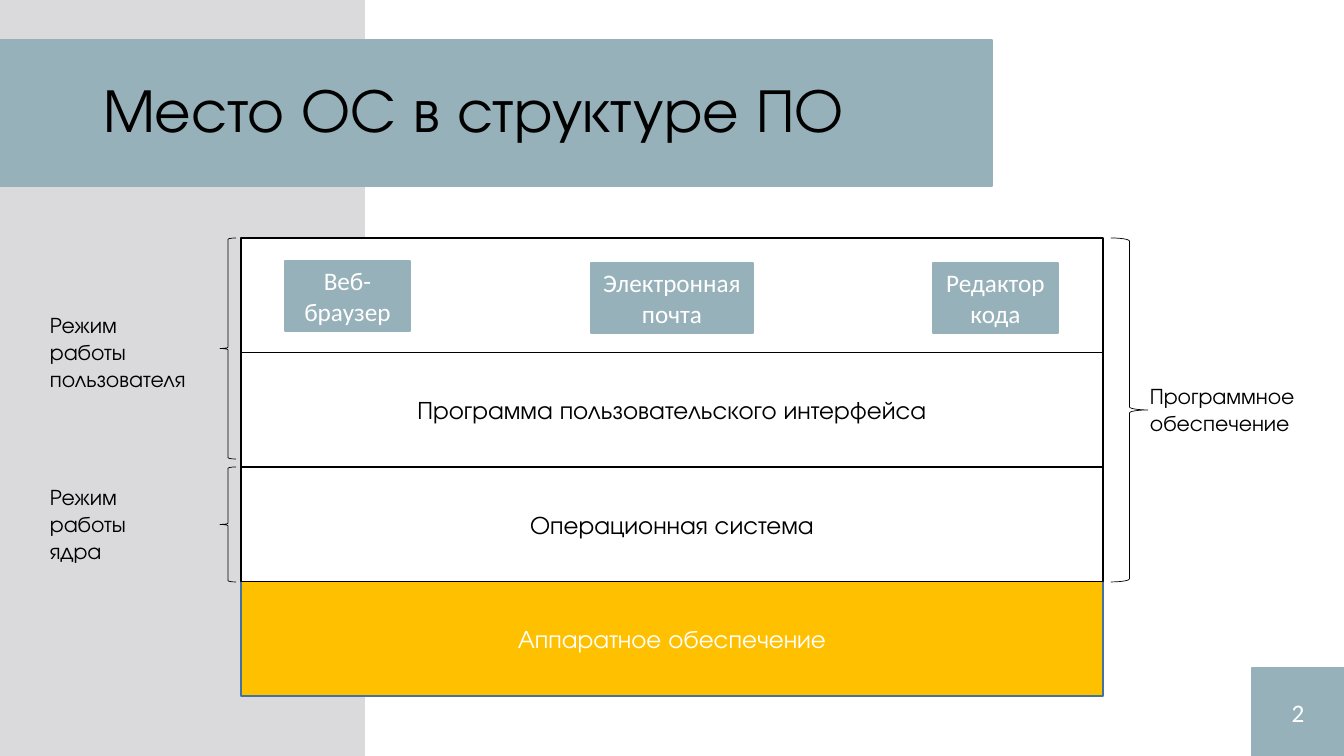
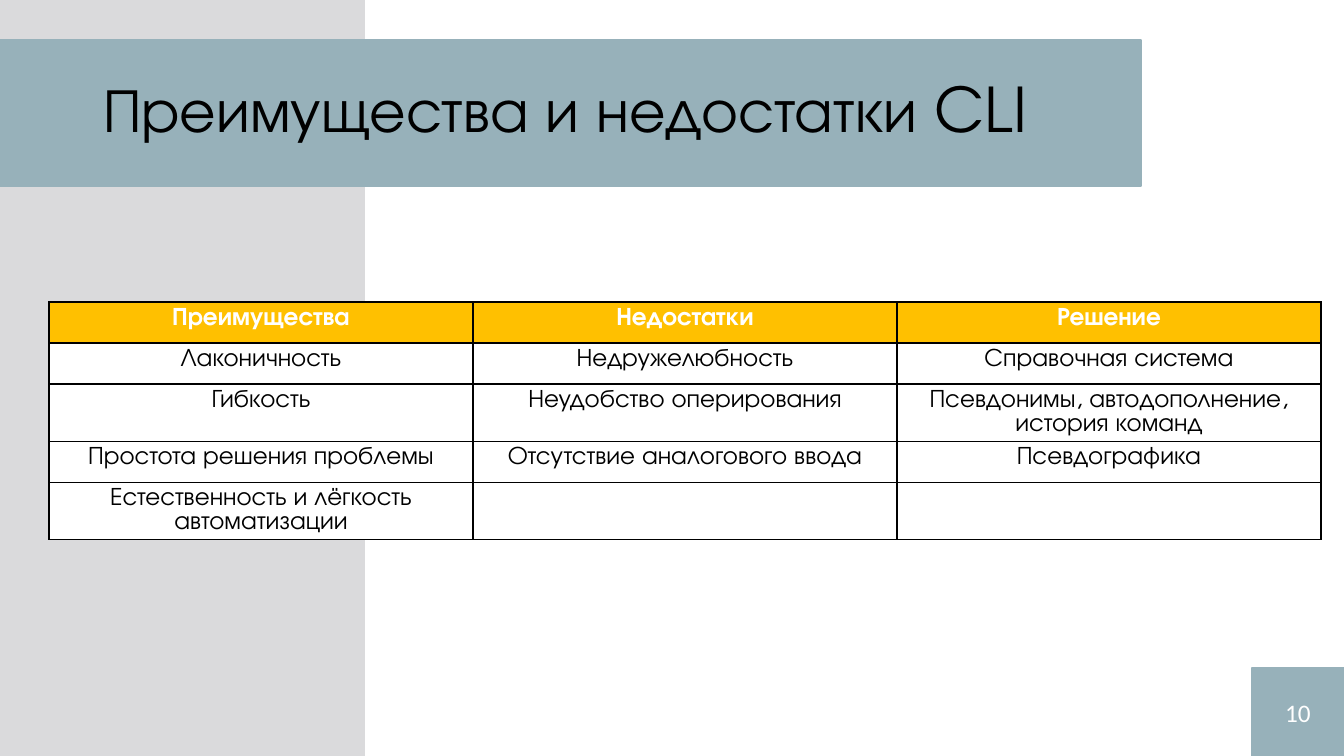
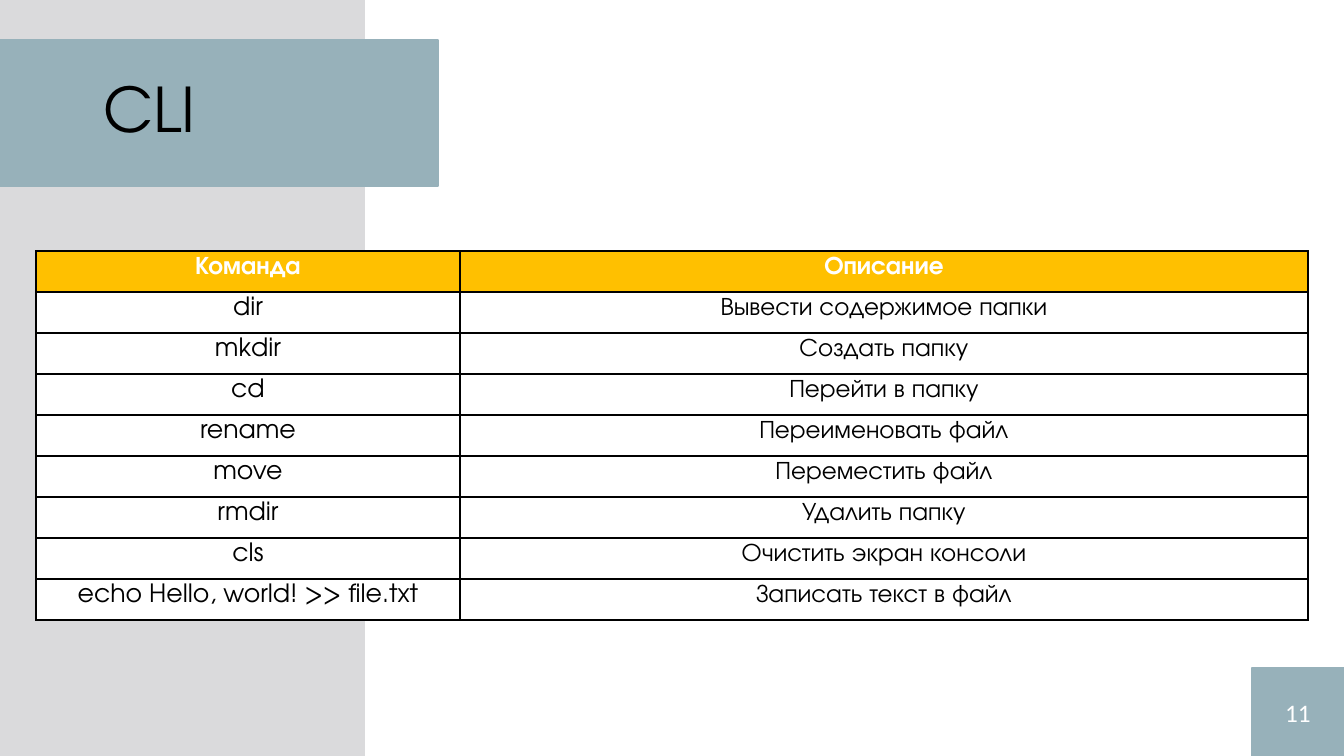
from lxml.etree import SubElement
from pptx import Presentation
from pptx.dml.color import RGBColor
from pptx.enum.shapes import MSO_SHAPE
from pptx.enum.text import MSO_ANCHOR, MSO_AUTO_SIZE, PP_ALIGN
from pptx.oxml.ns import qn
from pptx.util import Pt

THEME = {
    "panel": "DADADC", "band": "97B1BA", "accent": "FFC000", "edge": "43739E",
    "black": "000000", "white": "FFFFFF",
    "display": "TeX Gyre Adventor", "plain": "Calibri",
    "title": 44, "body": 18, "label": 16,
    "outline": 1, "brace": 0.5, "title_spacing": 0.9,
}

SLIDE_SIZE = (1344, 756)
PANEL_BOX = (0, 0, 364, 756)
TITLE_BOX = (93, 40, 1159, 146)
NUMBER_BOX = (1252, 668, 92, 88)
BAND_TOP, BAND_HEIGHT = 40, 146
COLUMN, ROW = 424, 41

STACK_BOX = (241, 238, 862, 458)
LAYERS = [
    ("", "white", "black", "black"),
    ("Программа пользовательского интерфейса", "white", "black", "black"),
    ("Операционная система", "white", "black", "black"),
    ("Аппаратное обеспечение", "accent", "edge", "white"),
]
APPLICATIONS = [
    ("Веб-браузер", (285, 261, 125, 70)),
    ("Электронная почта", (591, 263, 162, 70)),
    ("Редактор кода", (933, 263, 125, 70)),
]
BRACES = [
    (MSO_SHAPE.LEFT_BRACE, (220, 238, 16, 221)),
    (MSO_SHAPE.LEFT_BRACE, (220, 467, 16, 115)),
    (MSO_SHAPE.RIGHT_BRACE, (1111, 238, 37, 344)),
]
LABELS = [
    (["Режим", "работы", "пользователя"], (40, 306, 195, 92)),
    (["Режим", "работы", "ядра"], (40, 478, 195, 92)),
    (["Программное обеспечение"], (1140, 377, 195, 65)),
]

ADVANTAGES = [
    ("Преимущества", "Недостатки", "Решение"),
    ("Лаконичность", "Недружелюбность", "Справочная система"),
    ("Гибкость", "Неудобство оперирования", "Псевдонимы, автодополнение, история команд"),
    ("Простота решения проблемы", "Отсутствие аналогового ввода", "Псевдографика"),
    ("Естественность и лёгкость автоматизации", "", ""),
]
COMMANDS = [
    ("Команда", "Описание"),
    ("dir", "Вывести содержимое папки"),
    ("mkdir", "Создать папку"),
    ("cd", "Перейти в папку"),
    ("rename", "Переименовать файл"),
    ("move", "Переместить файл"),
    ("rmdir", "Удалить папку"),
    ("cls", "Очистить экран консоли"),
    ("echo Hello, world! >> file.txt", "Записать текст в файл"),
]


def px(value):
    return round(value * 914400 / 100.8)


def color(name):
    return RGBColor.from_string(THEME[name])


def apply_format(target, values):
    for name, value in values.items():
        setattr(target, name, value)


def place(shape, box):
    apply_format(shape, dict(zip(("left", "top", "width", "height"), map(px, box))))


def write(frame, lines, size="body", ink="black", face="display", bold=False,
          align=PP_ALIGN.CENTER, spacing=None):
    for index, line in enumerate(lines):
        paragraph = frame.add_paragraph() if index else frame.paragraphs[0]
        apply_format(paragraph, {"alignment": align, "line_spacing": spacing})
        if line:
            run = paragraph.add_run()
            run.text = line
            apply_format(run.font, {"name": THEME[face], "size": Pt(THEME[size]), "bold": bold})
            run.font.color.rgb = color(ink)


def add_box(slide, box, fill, line, text="", preset=MSO_SHAPE.RECTANGLE, weight="outline", **style):
    shape = slide.shapes.add_shape(preset, *map(px, box))
    shape.shadow.inherit = False
    if fill:
        shape.fill.solid()
        shape.fill.fore_color.rgb = color(fill)
    else:
        shape.fill.background()
    shape.line.color.rgb = color(line)
    shape.line.width = Pt(THEME[weight])
    if text:
        apply_format(shape.text_frame, {"word_wrap": True, "vertical_anchor": MSO_ANCHOR.MIDDLE})
        write(shape.text_frame, [text], **style)


def add_label(slide, lines, box):
    frame = slide.shapes.add_textbox(*map(px, box)).text_frame
    frame.word_wrap = True
    write(frame, lines, size="label", align=PP_ALIGN.LEFT)


def add_borders(cell):
    properties = cell._tc.get_or_add_tcPr()
    for index, side in enumerate(("lnL", "lnR", "lnT", "lnB")):
        border = SubElement(properties, qn(f"a:{side}"), w=str(Pt(THEME["outline"])))
        fill = SubElement(border, qn("a:solidFill"))
        SubElement(fill, qn("a:srgbClr"), val=THEME["black"])
        properties.insert(index, border)


def add_grid(slide, rows, left, top, widths):
    box = (left, top, sum(widths), ROW * len(rows))
    table = slide.shapes.add_table(len(rows), len(widths), *map(px, box)).table
    for column, width in zip(table.columns, widths):
        column.width = px(width)
    for row_index, row in enumerate(rows):
        header = row_index == 0
        for column_index, text in enumerate(row):
            cell = table.cell(row_index, column_index)
            cell.fill.solid()
            cell.fill.fore_color.rgb = color("accent" if header else "white")
            add_borders(cell)
            write(cell.text_frame, [text], ink="white" if header else "black", bold=header)


def add_structure(slide):
    left, top, width, height = STACK_BOX
    layer_height = height / len(LAYERS)
    for index, (text, fill, line, ink) in reversed(list(enumerate(LAYERS))):
        add_box(slide, (left, top + index * layer_height, width, layer_height),
                fill, line, text, ink=ink)
    for lines, box in LABELS:
        add_label(slide, lines, box)
    for preset, box in BRACES:
        add_box(slide, box, None, "black", preset=preset, weight="brace")
    for text, box in APPLICATIONS:
        add_box(slide, box, "band", "band", text, ink="white", face="plain")


def add_advantages(slide):
    add_grid(slide, ADVANTAGES, 49, 302, [COLUMN] * 3)


def add_commands(slide):
    add_grid(slide, COMMANDS, 36, 251, [COLUMN, COLUMN * 2])


SLIDES = [
    ("Место ОС в структуре ПО", "2", 992, add_structure),
    ("Преимущества и недостатки CLI", "10", 1141, add_advantages),
    ("CLI", "11", 438, add_commands),
]


def add_base(presentation, title, number, band_width):
    slide = presentation.slides.add_slide(presentation.slide_layouts[5])
    add_box(slide, PANEL_BOX, "panel", "panel")
    add_box(slide, (0, BAND_TOP, band_width, BAND_HEIGHT), "band", "band")
    add_box(slide, NUMBER_BOX, "band", "band", number, ink="white", face="plain")
    heading = slide.shapes.title
    place(heading, TITLE_BOX)
    apply_format(heading.text_frame, {
        "word_wrap": True, "auto_size": MSO_AUTO_SIZE.NONE, "vertical_anchor": MSO_ANCHOR.MIDDLE})
    write(heading.text_frame, [title], size="title", align=PP_ALIGN.LEFT,
          spacing=THEME["title_spacing"])
    slide.shapes.element.append(heading.element)
    return slide


def main():
    presentation = Presentation()
    apply_format(presentation, dict(zip(("slide_width", "slide_height"), map(px, SLIDE_SIZE))))
    for title, number, band_width, add_content in SLIDES:
        add_content(add_base(presentation, title, number, band_width))
    presentation.save("out.pptx")


if __name__ == "__main__":
    main()
